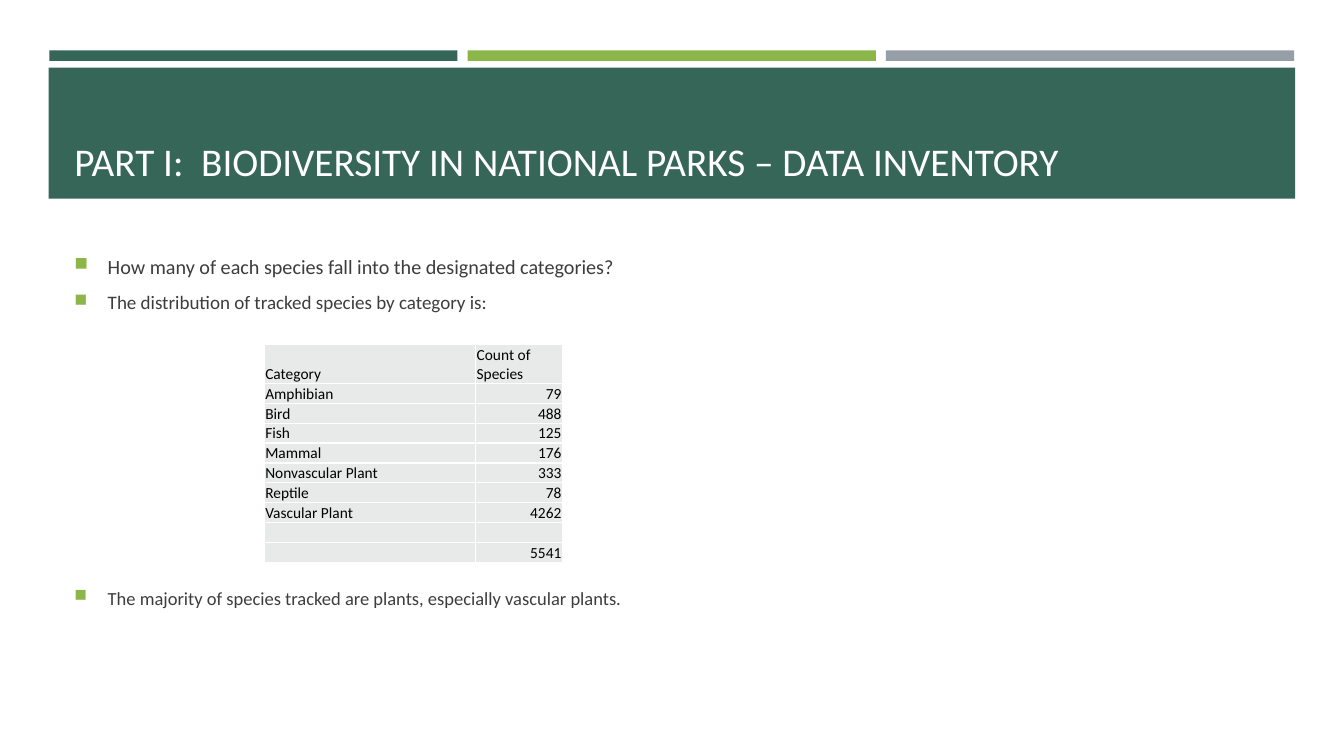
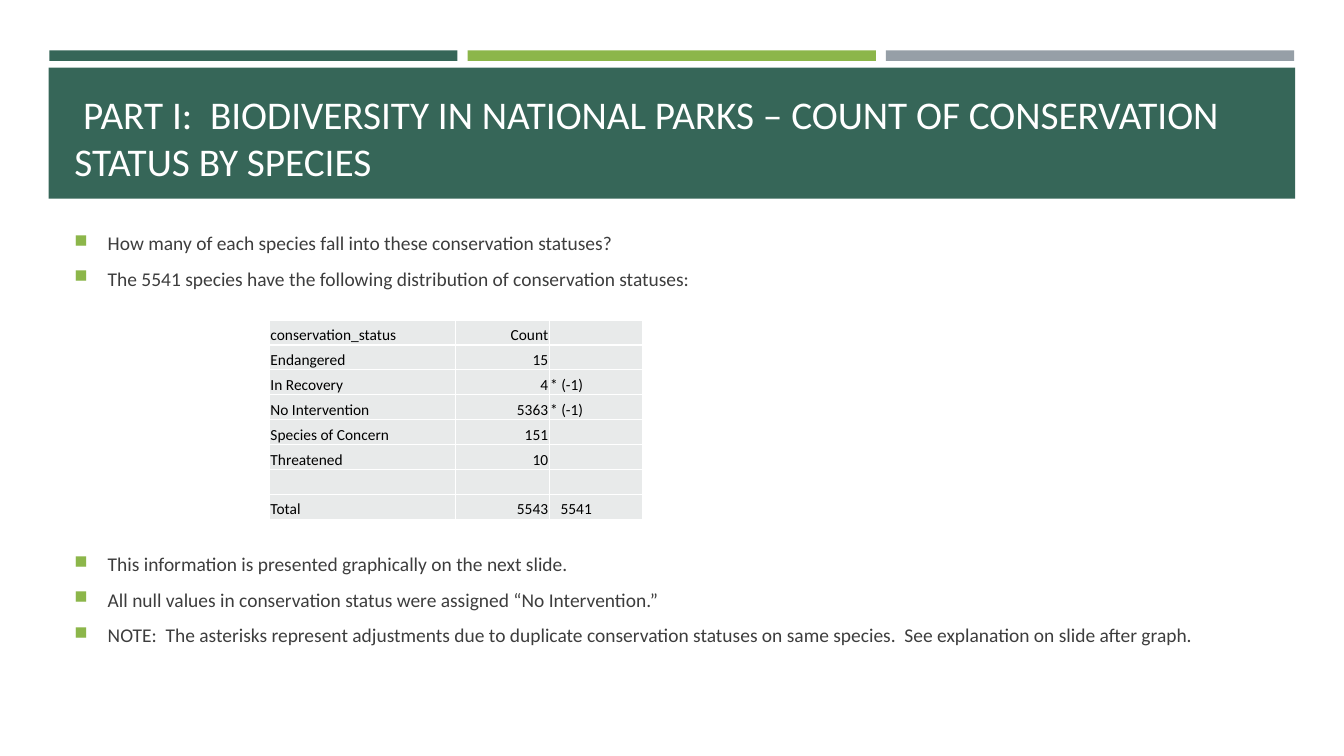
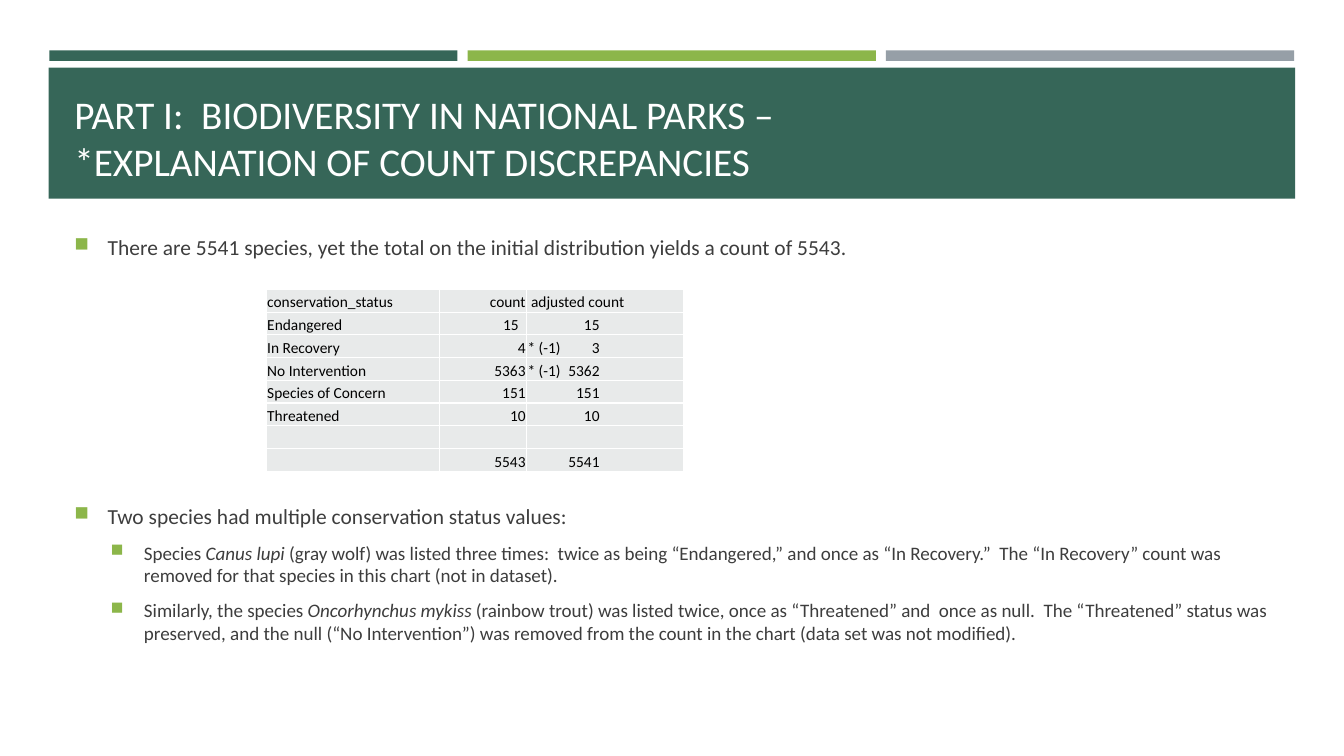
"""Build three slides on biodiversity data in national parks."""
from dataclasses import dataclass

import pptx
import pptx.dml.color
import pptx.enum.shapes
import pptx.enum.text
import pptx.oxml
import pptx.oxml.ns
import pptx.presentation
import pptx.slide
import pptx.text.text
import pptx.util

Pt = pptx.util.Pt
RGBColor = pptx.dml.color.RGBColor
ALIGN = pptx.enum.text.PP_ALIGN
ANCHOR = pptx.enum.text.MSO_ANCHOR

GREEN = RGBColor(0x36, 0x66, 0x58)
LIME = RGBColor(0x8C, 0xB6, 0x4A)
GRAY = RGBColor(0x96, 0x9F, 0xA7)
WHITE = RGBColor(0xFF, 0xFF, 0xFF)
BLACK = RGBColor(0, 0, 0)
TEXT = RGBColor(0x3D, 0x3D, 0x3D)
CELL_FILL = RGBColor(0xE8, 0xEA, 0xEA)

FONT = "Calibri"
BAR_LEFT, BAR_WIDTH, BAR_PITCH = 35.2, 291.6, 298.8
BODY_LEFT, BODY_WIDTH = 46.1, 868.3
HANGING = 23.8
LEVEL_INDENTS = (23.8, 49.7)
CELL_INSET = 0.7


@dataclass(frozen=True)
class Bullet:
    """One bullet; every second piece of its text is italic."""
    pieces: tuple[str, ...]
    size: float
    level: int = 0


@dataclass(frozen=True)
class BulletGroup:
    """Consecutive bullets starting at one height."""
    top: float
    height: float
    bullets: tuple[Bullet, ...]


@dataclass(frozen=True)
class Cell:
    """Table cell text with its side insets."""
    text: str
    left: float = CELL_INSET
    right: float = CELL_INSET


@dataclass(frozen=True)
class TableSpec:
    """Place, sizes and content of a table."""
    left: float
    top: float
    widths: tuple[float, ...]
    header_height: float
    row_height: float
    rows: tuple[tuple[str | Cell, ...], ...]
    header_align: ALIGN = ALIGN.RIGHT
    tab: float = 51.5


@dataclass(frozen=True)
class SlideSpec:
    """Everything that differs between slides."""
    title: str
    groups: tuple[BulletGroup, ...]
    table: TableSpec


def set_font(p: pptx.text.text._Paragraph, size: float, color: RGBColor) -> None:
    """Set the font of a whole paragraph."""
    p.font.name = FONT
    p.font.size = Pt(size)
    p.font.color.rgb = color


def append_xml(p: pptx.text.text._Paragraph, *elements: str) -> None:
    """Append drawing elements to the paragraph properties."""
    ns = pptx.oxml.ns.nsdecls("a")
    for element in elements:
        tag, rest = element.split(" ", 1)
        p._p.get_or_add_pPr().append(pptx.oxml.parse_xml(f"<a:{tag} {ns} {rest}"))


def add_rect(s: pptx.slide.Slide, left: float, top: float, width: float,
             height: float, color: RGBColor) -> None:
    """Add a plain filled rectangle."""
    sp = s.shapes.add_shape(pptx.enum.shapes.MSO_SHAPE.RECTANGLE,
                            Pt(left), Pt(top), Pt(width), Pt(height))
    sp.shadow.inherit = False
    sp.fill.solid()
    sp.fill.fore_color.rgb = color
    sp.line.fill.background()


def add_text_frame(s: pptx.slide.Slide, top: float, height: float,
                   anchor: ANCHOR) -> pptx.text.text.TextFrame:
    """Add a wrapping text box across the body width."""
    sp = s.shapes.add_textbox(Pt(BODY_LEFT), Pt(top), Pt(BODY_WIDTH), Pt(height))
    tf = sp.text_frame
    tf.word_wrap = True
    tf.vertical_anchor = anchor
    return tf


def add_header(s: pptx.slide.Slide, title: str) -> None:
    """Draw the three bars, the title band and the title."""
    for i, color in enumerate((GREEN, LIME, GRAY)):
        add_rect(s, BAR_LEFT + i * BAR_PITCH, 36, BAR_WIDTH, 7.5, color)
    add_rect(s, 34.8, 48.3, 890.3, 93.7, GREEN)
    p = add_text_frame(s, 55.4, 80, ANCHOR.BOTTOM).paragraphs[0]
    p.text = title
    set_font(p, 28, WHITE)


def add_bullets(s: pptx.slide.Slide, group: BulletGroup) -> None:
    """Draw one group of bullets."""
    tf = add_text_frame(s, group.top, group.height, ANCHOR.TOP)
    for i, bullet in enumerate(group.bullets):
        p = tf.add_paragraph() if i else tf.paragraphs[0]
        for j, piece in enumerate(bullet.pieces):
            r = p.add_run()
            r.text = piece
            if j % 2:
                r.font.italic = True
        p.space_before = Pt(round(bullet.size * 0.2, 1))
        p.space_after = Pt(6)
        pPr = p._p.get_or_add_pPr()
        pPr.set("marL", str(Pt(LEVEL_INDENTS[bullet.level])))
        pPr.set("indent", str(-Pt(HANGING)))
        append_xml(p, f'buClr ><a:srgbClr val="{LIME}"/></a:buClr>',
                   'buSzPct val="92000"/>', 'buChar char="■"/>')
        set_font(p, bullet.size, TEXT)


def add_table(s: pptx.slide.Slide, spec: TableSpec) -> None:
    """Draw a table whose second column is right-aligned."""
    heights = [spec.header_height] + [spec.row_height] * (len(spec.rows) - 1)
    table = s.shapes.add_table(len(spec.rows), len(spec.widths), Pt(spec.left), Pt(spec.top),
                               Pt(sum(spec.widths)), Pt(sum(heights))).table
    table.first_row = False
    table.horz_banding = False
    for column, width in zip(table.columns, spec.widths):
        column.width = Pt(width)
    for i, (values, height) in enumerate(zip(spec.rows, heights)):
        table.rows[i].height = Pt(height)
        for j, value in enumerate(values):
            content = value if isinstance(value, Cell) else Cell(value)
            cell = table.cell(i, j)
            cell.fill.solid()
            cell.fill.fore_color.rgb = CELL_FILL
            cell.vertical_anchor = ANCHOR.BOTTOM
            cell.margin_left, cell.margin_right = Pt(content.left), Pt(content.right)
            cell.margin_top, cell.margin_bottom = Pt(CELL_INSET), Pt(0)
            p = cell.text_frame.paragraphs[0]
            p.text = content.text
            if j == 1:
                p.alignment = ALIGN.RIGHT if i else spec.header_align
            if "\t" in content.text:
                append_xml(p, f'tabLst ><a:tab pos="{Pt(spec.tab)}" algn="r"/></a:tabLst>')
            set_font(p, 11, BLACK)


def add_slide(prs: pptx.presentation.Presentation, spec: SlideSpec) -> None:
    """Add one complete slide."""
    s = prs.slides.add_slide(prs.slide_layouts[6])
    add_header(s, spec.title)
    for group in spec.groups:
        add_bullets(s, group)
    add_table(s, spec.table)


SLIDES = (
    SlideSpec(
        "PART I:  BIODIVERSITY IN NATIONAL PARKS – DATA INVENTORY",
        (
            BulletGroup(178, 60, (
                Bullet(("How many of each species fall into the designated categories?",), 14.4),
                Bullet(("The distribution of tracked species by category is:",), 13.6),
            )),
            BulletGroup(415.5, 32, (
                Bullet(("The majority of species tracked are plants, especially vascular plants.",),
                       13.2),
            )),
        ),
        TableSpec(188.8, 246.2, (151, 62), 27.8, 14.2, (
            ("Category", "Count of Species"),
            ("Amphibian", "79"),
            ("Bird", "488"),
            ("Fish", "125"),
            ("Mammal", "176"),
            ("Nonvascular Plant", "333"),
            ("Reptile", "78"),
            ("Vascular Plant", "4262"),
            ("", ""),
            ("", "5541"),
        ), header_align=ALIGN.LEFT),
    ),
    SlideSpec(
        " PART I:  BIODIVERSITY IN NATIONAL PARKS – COUNT OF CONSERVATION STATUS BY SPECIES",
        (
            BulletGroup(161.6, 60, (
                Bullet(("How many of each species fall into these conservation statuses?",), 13.9),
                Bullet(("The 5541 species have the following distribution of "
                        "conservation statuses:",), 13.9),
            )),
            BulletGroup(390.9, 86, (
                Bullet(("This information is presented graphically on the next slide.",), 13.9),
                Bullet(("All null values in conservation status were assigned "
                        "“No Intervention.”",), 13.9),
                Bullet(("NOTE:  The asterisks represent adjustments due to duplicate conservation "
                        "statuses on same species.  See explanation on slide after graph.",), 13.9),
            )),
        ),
        TableSpec(192.5, 228.6, (132.8, 67, 67), 17.8, 17.8, (
            ("conservation_status", "Count", ""),
            ("Endangered", "15", ""),
            ("In Recovery", "4", "* (-1)"),
            ("No Intervention", "5363", "* (-1)"),
            ("Species of Concern", "151", ""),
            ("Threatened", "10", ""),
            ("", "", ""),
            ("Total", "5543", Cell("5541", left=8.2)),
        )),
    ),
    SlideSpec(
        "PART I:  BIODIVERSITY IN NATIONAL PARKS –\v*EXPLANATION OF COUNT DISCREPANCIES",
        (
            BulletGroup(163.7, 36, (
                Bullet(("There are 5541 species, yet the total on the initial distribution "
                        "yields a count of 5543.",), 15.3),
            )),
            BulletGroup(355.8, 118, (
                Bullet(("Two species had multiple conservation status values:",), 15.3),
                Bullet(("Species ", "Canus lupi",
                        " (gray wolf) was listed three times:  twice as being “Endangered,” and "
                        "once as “In Recovery.”  The “In Recovery” count was removed for that "
                        "species in this chart (not in dataset)."), 13.6, 1),
                Bullet(("Similarly, the species ", "Oncorhynchus mykiss ",
                        "(rainbow trout) was listed twice, once as “Threatened” and  once as null.  "
                        "The “Threatened” status was preserved, and the null (“No Intervention”) "
                        "was removed from the count in the chart (data set was not modified)."),
                       13.6, 1),
            )),
        ),
        TableSpec(190.2, 206.7, (123.7, 62.3, 112), 16.25, 16.25, (
            ("conservation_status", "count", Cell("adjusted count", left=3.2)),
            ("Endangered", Cell("15", right=5.7), "\t15"),
            ("In Recovery", "4", "* (-1)\t3"),
            ("No Intervention", "5363", "* (-1)\t5362"),
            ("Species of Concern", "151", "\t151"),
            ("Threatened", "10", "\t10"),
            ("", "", ""),
            ("", "5543", "\t5541"),
        )),
    ),
)


def main() -> None:
    """Build and save the presentation."""
    prs = pptx.Presentation()
    prs.slide_width, prs.slide_height = Pt(960), Pt(540)
    for spec in SLIDES:
        add_slide(prs, spec)
    prs.save("out.pptx")


if __name__ == "__main__":
    main()
